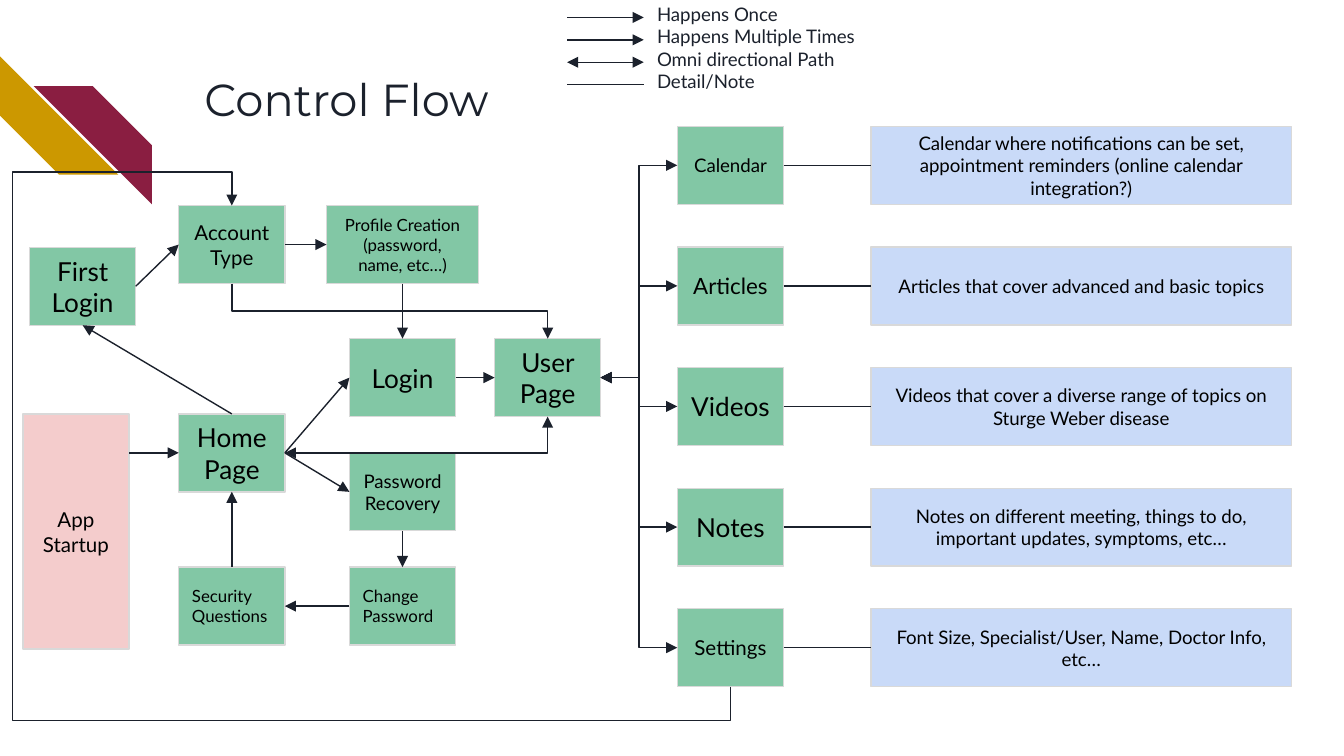
from dataclasses import dataclass
from typing import NamedTuple

from lxml import etree
from pptx import Presentation
from pptx.dml.color import RGBColor
from pptx.enum.shapes import MSO_CONNECTOR, MSO_SHAPE
from pptx.enum.text import MSO_ANCHOR, MSO_AUTO_SIZE, PP_ALIGN
from pptx.oxml.ns import qn
from pptx.util import Inches, Pt

RECT, STRIPE = MSO_SHAPE.RECTANGLE, MSO_SHAPE.DIAGONAL_STRIPE
LINE, ELBOW = MSO_CONNECTOR.STRAIGHT, MSO_CONNECTOR.ELBOW
LEFT, MID = PP_ALIGN.LEFT, PP_ALIGN.CENTER
TOP, CENTER = MSO_ANCHOR.TOP, MSO_ANCHOR.MIDDLE


@dataclass(frozen=True)
class Theme:
    ink: str = "1B212C"
    black: str = "000000"
    edge: str = "D9D9D9"
    green: str = "82C7A5"
    blue: str = "C9DAF8"
    pink: str = "F4CCCC"
    gold: str = "CC9800"
    wine: str = "8A1E41"
    head: str = "Montserrat"
    body: str = "Lato"
    title: float = 24
    big: float = 14
    mid: float = 12
    small: float = 11
    note: float = 10
    tiny: float = 9
    rule: float = 0.75


T = Theme()

# Grid: column lefts and row tops in inches
WIDE = 10
HIGH = WIDE * 9 / 16
COLS = {"start": 0.17, "first": 0.22, "home": 1.33, "profile": 2.43, "login": 2.6,
        "user": 3.68, "menu": 5.04, "note": 6.48}
ROWS = {"account": 1.53, "first": 1.84, "login": 2.52, "home": 3.08,
        "recover": 3.37, "change": 4.22}
MENU_TOP, MENU_END = 0.94, 4.53
BOX_W, BOX_H = 0.79, 0.58
KEY_X, KEY_W, KEY_TOP, KEY_STEP = 4.22, 0.57, 0.13, T.note * 1.2 / 72

Spot = tuple[float, float]


class Node(NamedTuple):
    text: str
    x: float
    y: float
    size: float
    w: float = BOX_W
    h: float = BOX_H
    fill: str = T.green
    align: PP_ALIGN = MID

    def side(self, name: str) -> Spot:
        """Joint on side l, r, t or b; l and r sit half a standard box down."""
        return {"l": (self.x, self.y + BOX_H / 2),
                "r": (self.x + self.w, self.y + BOX_H / 2),
                "t": (self.x + self.w / 2, self.y),
                "b": (self.x + self.w / 2, self.y + self.h)}[name]


class Link(NamedTuple):
    start: str
    out: str
    end: str
    into: str


def cell(text: str, col: str, row: str, size: float, **extra) -> Node:
    return Node(text, COLS[col], ROWS[row], size, **extra)


FLOW = {
    "first": cell("First Login", "first", "first", T.big),
    "home": cell("Home Page", "home", "home", T.big),
    "user": cell("User Page", "user", "login", T.big),
    "profile": cell("Profile Creation (password, name, etc…)", "profile", "account",
                    T.tiny, w=1.13),
    "login": cell("Login", "login", "login", T.big),
    "recover": cell("Password Recovery", "login", "recover", T.note),
    "secure": cell("Security Questions", "home", "change", T.tiny, align=LEFT),
    "change": cell("Change Password", "login", "change", T.tiny, align=LEFT),
    "start": cell("App Startup", "start", "home", T.small, h=1.75, fill=T.pink),
    "account": cell("Account Type", "home", "account", T.small),
}
MENU = [
    ("Calendar", T.note, "Calendar where notifications can be set, appointment "
     "reminders (online calendar integration?)"),
    ("Articles", T.mid, "Articles that cover advanced and basic topics"),
    ("Videos", T.big, "Videos that cover a diverse range of topics on Sturge Weber disease"),
    ("Notes", T.big, "Notes on different meeting, things to do, important updates, "
     "symptoms, etc…"),
    ("Settings", T.small, "Font Size, Specialist/User, Name, Doctor Info, etc…"),
]
MENU_STEP = (MENU_END - MENU_TOP) / (len(MENU) - 1)
LINKS = [
    Link("first", "r", "account", "l"),
    Link("profile", "b", "login", "t"),
    Link("home", "r", "login", "l"),
    Link("login", "r", "user", "l"),
    Link("home", "r", "recover", "l"),
    Link("recover", "b", "change", "t"),
    Link("change", "l", "secure", "r"),
    Link("secure", "t", "home", "b"),
    Link("home", "t", "first", "b"),
    Link("start", "r", "home", "l"),
    Link("account", "r", "profile", "l"),
]
KEY = [("Happens Once", "tail"), ("Happens Multiple Times", "tail"),
       ("Omni directional Path", "both"), ("Detail/Note", "")]
ENDS = {"": [], "tail": ["tailEnd"], "both": ["headEnd", "tailEnd"]}


def write(shape, *lines: str, size: float, font: str = T.body, color: str = T.black,
          align: PP_ALIGN = LEFT, anchor: MSO_ANCHOR = TOP) -> None:
    frame = shape.text_frame
    frame.word_wrap = True
    frame.auto_size = MSO_AUTO_SIZE.NONE
    frame.vertical_anchor = anchor
    frame.margin_left = frame.margin_right = Inches(0.1)
    frame.margin_top = frame.margin_bottom = Inches(0.1)
    for i, line in enumerate(lines):
        para = frame.add_paragraph() if i else frame.paragraphs[0]
        para.alignment = align
        run = para.add_run()
        run.text = line
        run.font.size, run.font.name = Pt(size), font
        run.font.color.rgb = RGBColor.from_string(color)


def block(slide, kind: MSO_SHAPE, x: float, y: float, w: float, h: float, fill: str):
    shape = slide.shapes.add_shape(kind, *map(Inches, (x, y, w, h)))
    shape.shadow.inherit = False
    shape.fill.solid()
    shape.fill.fore_color.rgb = RGBColor.from_string(fill)
    shape.line.fill.background()
    return shape


def box(slide, node: Node) -> None:
    shape = block(slide, RECT, node.x, node.y, node.w, node.h, node.fill)
    shape.line.color.rgb = RGBColor.from_string(T.edge)
    shape.line.width = Pt(T.rule)
    write(shape, node.text, size=node.size, align=node.align, anchor=CENTER)


def wire(slide, a: Spot, b: Spot, ends: str = "tail", kind: MSO_CONNECTOR = LINE,
         bends: tuple[float, ...] = ()):
    """Connector from a to b; bends are the elbow adjustments as shares."""
    line = slide.shapes.add_connector(kind, *map(Inches, (*a, *b)))
    line.line.color.rgb = RGBColor.from_string(T.ink)
    line.line.width = Pt(T.rule)
    props = line._element.spPr
    for end in ENDS[ends]:
        etree.SubElement(props.find(qn("a:ln")), qn("a:" + end), type="triangle")
    etree.SubElement(props, qn("a:effectLst"))
    if bends:
        geom = props.find(qn("a:prstGeom"))
        geom.set("prst", f"bentConnector{len(bends) + 2}")
        guides = geom.find(qn("a:avLst"))
        for i, bend in enumerate(bends, 1):
            etree.SubElement(guides, qn("a:gd"), name=f"adj{i}",
                             fmla=f"val {round(bend * 100000)}")
    return line


def plumb(slide, a: Spot, b: Spot, bends: tuple[float, ...]) -> None:
    """Elbow that leaves a vertically: a turned connector about the same centre."""
    mx, my = (a[0] + b[0]) / 2, (a[1] + b[1]) / 2
    w, h = abs(b[1] - a[1]), abs(b[0] - a[0])
    line = wire(slide, (mx + w / 2, my - h / 2), (mx - w / 2, my + h / 2),
                kind=ELBOW, bends=bends)
    line.rotation = 270 if b[1] > a[1] else 90


def legend(slide) -> None:
    for i, (_, ends) in enumerate(KEY):
        y = KEY_TOP + i * KEY_STEP
        wire(slide, (KEY_X, y), (KEY_X + KEY_W, y), ends)
    area = slide.shapes.add_textbox(*map(Inches, (KEY_X + KEY_W, -0.08, 4.95, 0.88)))
    write(area, *(text for text, _ in KEY), size=T.note, color=T.ink)


def main() -> None:
    deck = Presentation()
    deck.slide_width, deck.slide_height = Inches(WIDE), Inches(HIGH)
    slide = deck.slides.add_slide(deck.slide_layouts[5])
    for x, y, turn, fill in ((0, 0.42, 270, T.gold), (0.25, 0.64, 90, T.wine)):
        block(slide, STRIPE, x, y, 0.88, 0.88, fill).rotation = turn

    title = slide.shapes.title
    title.left, title.top, title.width, title.height = map(Inches, (1.42, 0.43, 7.7, 1))
    write(title, "Control Flow", size=T.title, font=T.head, color=T.ink)

    for node in FLOW.values():
        box(slide, node)
    user = FLOW["user"]
    for i, (name, size, text) in enumerate(MENU):
        y = MENU_TOP + i * MENU_STEP
        item = Node(name, COLS["menu"], y, size)
        note = Node(text, COLS["note"], y, T.note, w=3.13, fill=T.blue)
        box(slide, item)
        box(slide, note)
        wire(slide, item.side("r"), note.side("l"), "")
        wire(slide, item.side("l"), user.side("r"), "both", ELBOW, (0.5,))

    for link in LINKS:
        wire(slide, FLOW[link.start].side(link.out), FLOW[link.end].side(link.into))
    account = FLOW["account"]
    plumb(slide, item.side("b"), account.side("t"), (-0.07, 1.44, 1.07))
    plumb(slide, account.side("b"), user.side("t"), (0.5,))
    wire(slide, user.side("b"), FLOW["home"].side("r"), "both", ELBOW, (0,))
    legend(slide)
    deck.save("out.pptx")


if __name__ == "__main__":
    main()
